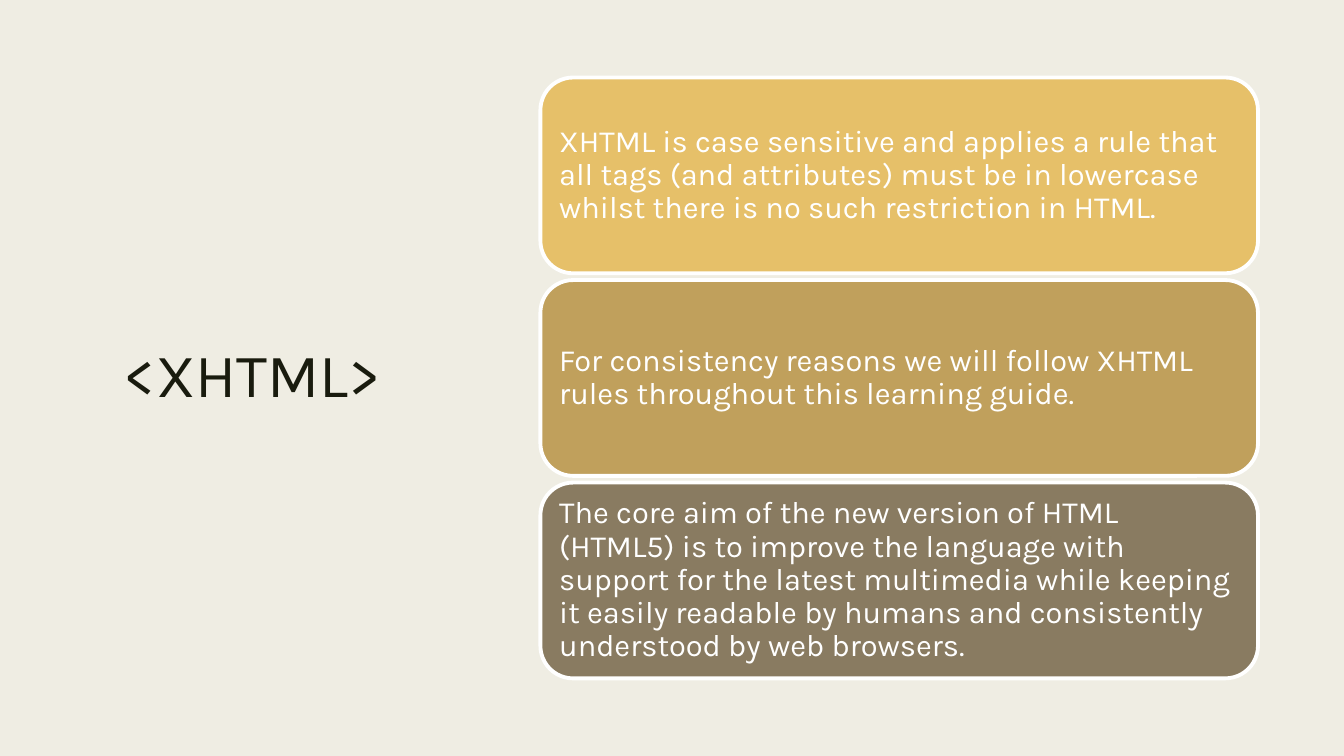
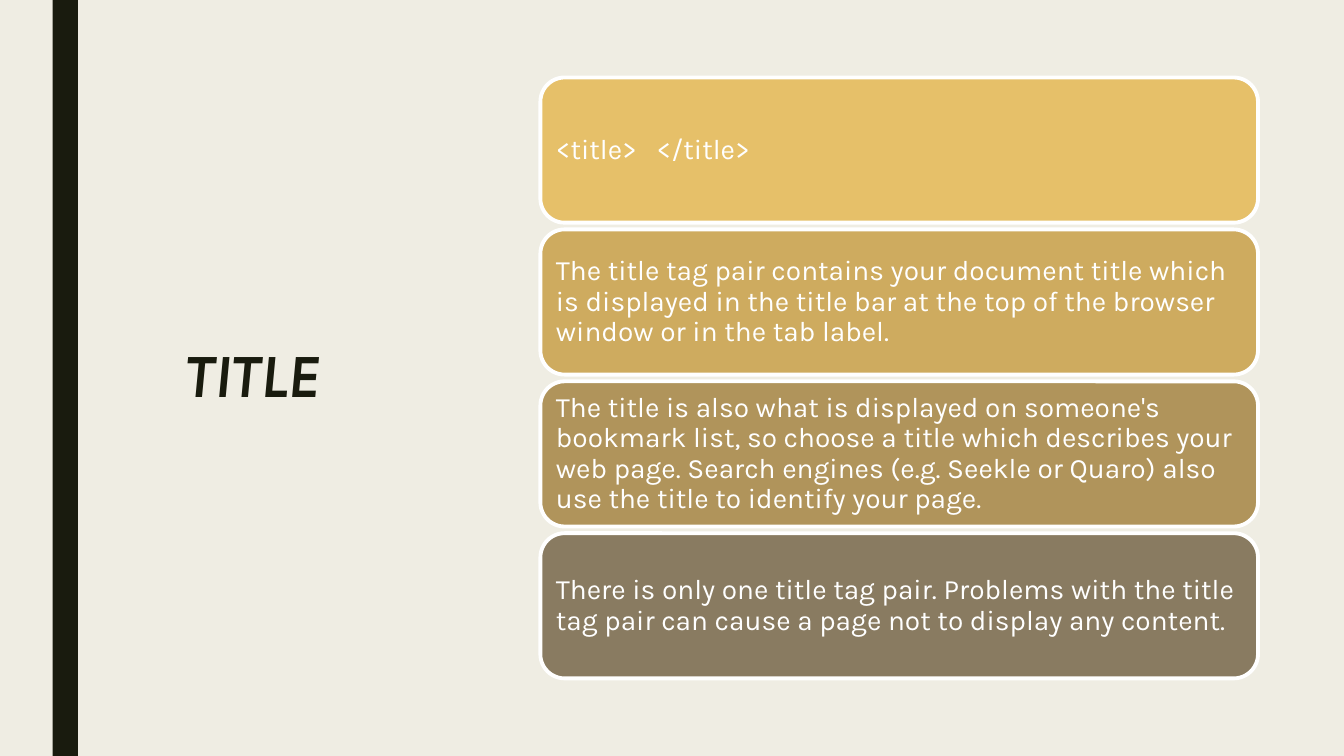
from pptx import Presentation
from pptx.dml.color import RGBColor
from pptx.enum.shapes import MSO_SHAPE
from pptx.enum.text import MSO_ANCHOR, MSO_AUTO_SIZE, PP_ALIGN
from pptx.util import Pt

COLORS = {
    "paper": "EFEDE3",
    "ink": "191B0E",
    "white": "FFFFFF",
    "gold": "E6C069",
    "honey": "CEAB5F",
    "ochre": "C0A05C",
    "bronze": "B0945B",
    "taupe": "897B61",
}
FONT = "Karla"
CARD_LEFT, CARD_TOP, CARD_WIDTH = 386, 55.4, 512.6
STACK_HEIGHT, CARD_GAP = 429.2, 4.8

SLIDES = [
    {
        "title": "<XHTML>",
        "emphasis": False,
        "band": False,
        "size": 22,
        "cards": [
            ("gold", "XHTML is case sensitive and applies a rule that all tags "
                     "(and attributes) must be in lowercase whilst there is no "
                     "such restriction in HTML."),
            ("ochre", "For consistency reasons we will follow XHTML rules "
                      "throughout this learning guide."),
            ("taupe", "The core aim of the new version of HTML (HTML5) is to "
                      "improve the language with support for the latest "
                      "multimedia while keeping it easily readable by humans "
                      "and consistently understood by web browsers."),
        ],
    },
    {
        "title": "TITLE",
        "emphasis": True,
        "band": True,
        "size": 20,
        "cards": [
            ("gold", "<title>\t</title>"),
            ("honey", "The title tag pair contains your document title which is "
                      "displayed in the title bar at the top of the browser "
                      "window or in the tab label."),
            ("bronze", "The title is also what is displayed on someone's "
                       "bookmark list, so choose a title which describes your "
                       "web page. Search engines (e.g. Seekle or Quaro) also "
                       "use the title to identify your page."),
            ("taupe", "There is only one title tag pair. Problems with the title "
                      "tag pair can cause a page not to display any content."),
        ],
    },
]


def color(name):
    return RGBColor.from_string(COLORS[name])


def style(p, size, name):
    p.line_spacing = 0.9
    p.font.name = FONT
    p.font.size = Pt(size)
    p.font.color.rgb = color(name)


def add_box(s, kind, left, top, width, height, fill):
    sp = s.shapes.add_shape(kind, Pt(left), Pt(top), Pt(width), Pt(height))
    sp.shadow.inherit = False
    sp.fill.solid()
    sp.fill.fore_color.rgb = color(fill)
    sp.line.fill.background()
    return sp


def set_title(s, text, emphasis):
    tf = s.shapes.title.text_frame
    tf.text = text
    tf.auto_size = MSO_AUTO_SIZE.NONE
    tf.vertical_anchor = MSO_ANCHOR.MIDDLE
    p = tf.paragraphs[0]
    p.alignment = PP_ALIGN.CENTER
    style(p, 44, "ink")
    p.font.bold = p.font.italic = emphasis


def add_cards(s, cards, size):
    height = (STACK_HEIGHT - CARD_GAP * (len(cards) - 1)) / len(cards)
    inset = Pt(size * 0.3)
    for i, (fill, text) in enumerate(cards):
        sp = add_box(s, MSO_SHAPE.ROUNDED_RECTANGLE, CARD_LEFT,
                     CARD_TOP + i * (height + CARD_GAP), CARD_WIDTH, height, fill)
        sp.line.color.rgb = color("white")
        sp.line.width = Pt(2.75)
        tf = sp.text_frame
        tf.word_wrap = True
        tf.vertical_anchor = MSO_ANCHOR.MIDDLE
        tf.margin_left = tf.margin_right = inset
        tf.margin_top = tf.margin_bottom = inset
        tf.text = text
        p = tf.paragraphs[0]
        p.alignment = PP_ALIGN.LEFT
        style(p, size, "white")


def main():
    prs = Presentation()
    prs.slide_width, prs.slide_height = Pt(960), Pt(540)
    background = prs.slide_master.background.fill
    background.solid()
    background.fore_color.rgb = color("paper")

    layout = prs.slide_layouts[5]
    title = layout.placeholders[0]
    title.left, title.top = Pt(50.4), Pt(50.4)
    title.width, title.height = Pt(260), Pt(439.2)

    for content in SLIDES:
        s = prs.slides.add_slide(layout)
        if content["band"]:
            add_box(s, MSO_SHAPE.RECTANGLE, 37.6, 0, 18, 540, "ink")
        set_title(s, content["title"], content["emphasis"])
        add_cards(s, content["cards"], content["size"])

    prs.save("out.pptx")


if __name__ == "__main__":
    main()
